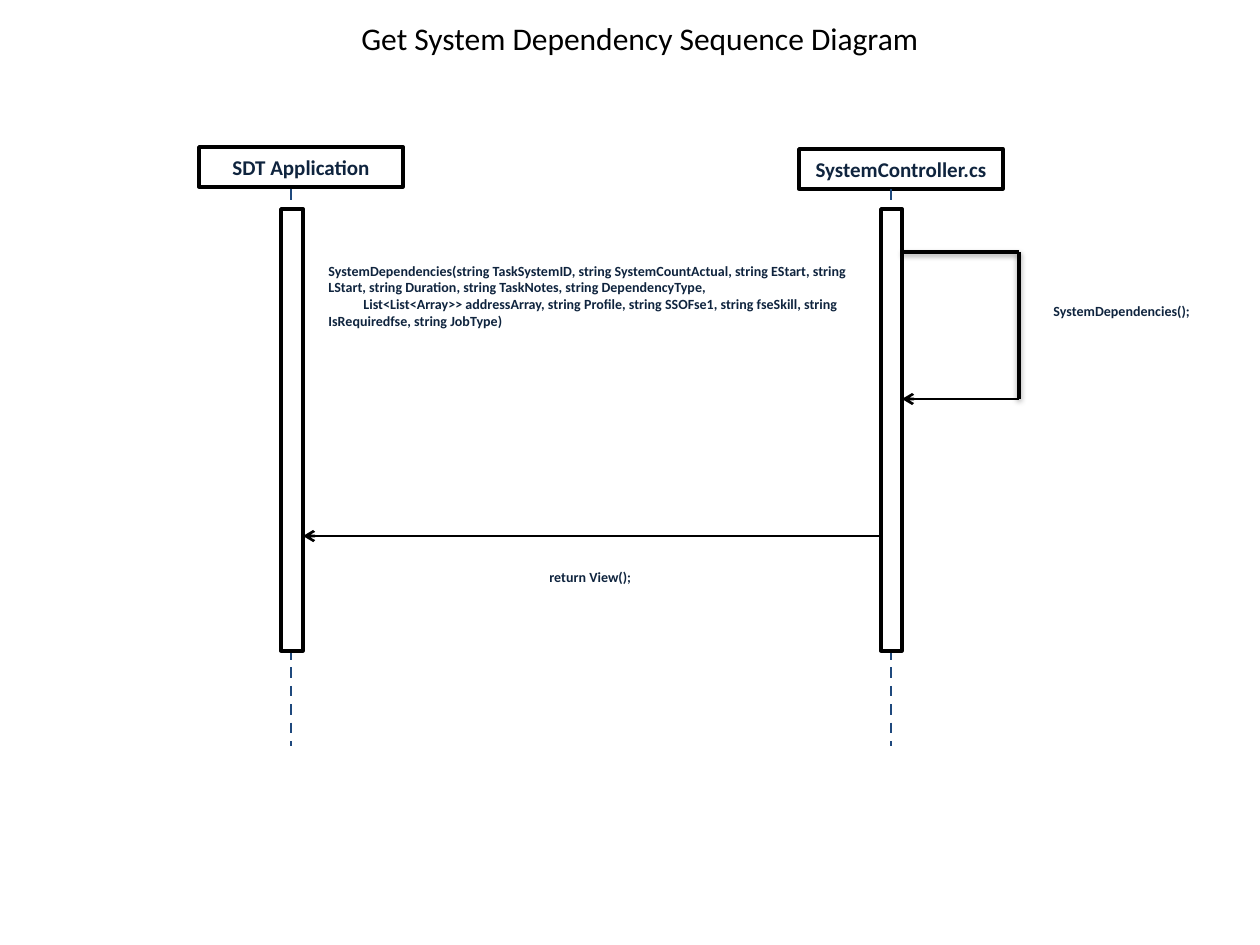
from lxml import etree
from pptx import Presentation
from pptx import util as u
from pptx.dml import color
from pptx.enum import dml, shapes, text
from pptx.oxml import ns

SCALE = 914400 / 126
BLACK, WHITE, NAVY, BLUE = "000000", "FFFFFF", "0F243E", "1F497D"


def px(length):
    """Turn a length in px into EMU."""
    return u.Emu(round(length * SCALE))


def paint(target, value):
    """Give a fill or line a solid colour from a hex string."""
    fill = getattr(target, "fill", target)
    fill.solid()
    fill.fore_color.rgb = color.RGBColor.from_string(value)


def write(frame, *lines, size=8, value=NAVY, bold=True, align=text.PP_ALIGN.LEFT,
          wrap=True, indents=()):
    """Write one paragraph per line with a shared format."""
    frame.word_wrap = wrap
    for index, line in enumerate(lines):
        paragraph = frame.paragraphs[0] if index == 0 else frame.add_paragraph()
        paragraph.alignment = align
        if index < len(indents):
            properties = paragraph._p.get_or_add_pPr()
            properties.set("marL", "0")
            properties.set("indent", str(px(indents[index])))
        run = paragraph.add_run()
        run.text = line
        run.font.name, run.font.size, run.font.bold = "Calibri", u.Pt(size), bold
        run.font.color.rgb = color.RGBColor.from_string(value)


def add_label(slide, box, *lines, **style):
    """Place a text box with formatted lines."""
    shape = slide.shapes.add_textbox(*map(px, box))
    write(shape.text_frame, *lines, **style)


def add_box(slide, box):
    """Place a white rectangle with a black outline."""
    shape = slide.shapes.add_shape(shapes.MSO_SHAPE.RECTANGLE, *map(px, box))
    shape.shadow.inherit = False
    paint(shape, WHITE)
    paint(shape.line, BLACK)
    shape.line.width = u.Pt(2)
    return shape


def add_line(slide, start, end, value=BLACK, width=1.5, dashed=False, arrow=False,
             shadow=False):
    """Draw a straight line with optional dashes, arrowhead and shadow."""
    line = slide.shapes.add_connector(
        shapes.MSO_CONNECTOR.STRAIGHT, *map(px, (*start, *end)))
    paint(line.line, value)
    line.line.width = u.Pt(width)
    if dashed:
        line.line.dash_style = dml.MSO_LINE.DASH
    if arrow:
        etree.SubElement(line.line._get_or_add_ln(), ns.qn("a:tailEnd"), type="arrow")
    effects = etree.SubElement(line._element.spPr, ns.qn("a:effectLst"))
    if shadow:
        outer = etree.SubElement(effects, ns.qn("a:outerShdw"), blurRad=str(u.Pt(3.1)),
                                 dist=str(u.Pt(1.6)), dir="5400000", rotWithShape="0")
        shade = etree.SubElement(outer, ns.qn("a:srgbClr"), val=BLACK)
        etree.SubElement(shade, ns.qn("a:alpha"), val="38000")


def add_participant(slide, box, name, bar_width):
    """Draw a participant's header, lifeline and activation bar."""
    left, top, width, height = box
    header = add_box(slide, (left, top, width, 40))
    header.text_frame.vertical_anchor = text.MSO_ANCHOR.MIDDLE
    write(header.text_frame, name, size=12, align=text.PP_ALIGN.CENTER)
    axis = left + 92
    add_line(slide, (axis, 189), (axis, top + height), BLUE, dashed=True)
    add_box(slide, (axis - 10, 209, bar_width, 442))


def add_self_call(slide, box, name):
    """Draw a call that loops back to its own activation bar."""
    left, top, width, height = box
    right, bottom = left + width, top + height
    add_line(slide, (left, top), (right, top), width=2, shadow=True)
    add_line(slide, (right, top), (right, bottom), width=2, shadow=True)
    add_line(slide, (right, bottom), (left, bottom), arrow=True)
    add_label(slide, (right + 22, top + 44, 168, 30), name)


def add_return(slide, box, name):
    """Draw a return arrow pointing left with its label beneath."""
    left, top, width, height = box
    add_line(slide, (left + width, top), (left, top), arrow=True)
    add_label(slide, (left + 234, top + height - 30, 168, 30), name)


def build_slide(presentation):
    """Build the sequence diagram slide."""
    slide = presentation.slides.add_slide(presentation.slide_layouts[6])
    add_label(slide, (345, 13, 590, 50), "Get System Dependency Sequence Diagram",
              size=18, value=BLACK, bold=False, align=text.PP_ALIGN.CENTER, wrap=False)
    add_participant(slide, (199, 147, 204, 599), "SDT Application", 22)
    add_participant(slide, (799, 149, 204, 597), "SystemController.cs", 21)
    add_label(
        slide, (316, 256, 546, 81),
        "SystemDependencies(string TaskSystemID, string SystemCountActual, string EStart, "
        "string LStart, string Duration, string TaskNotes, string DependencyType,",
        "List<List<Array>> addressArray, string Profile, string SSOFse1, string fseSkill, "
        "string IsRequiredfse, string JobType)",
        indents=(0, 35))
    add_self_call(slide, (902, 252, 117, 147), "SystemDependencies();")
    add_return(slide, (303, 536, 578, 56), "return View();")


def main():
    """Create and save the presentation."""
    presentation = Presentation()
    presentation.slide_width, presentation.slide_height = px(1260), px(945)
    build_slide(presentation)
    presentation.save("out.pptx")


if __name__ == "__main__":
    main()
